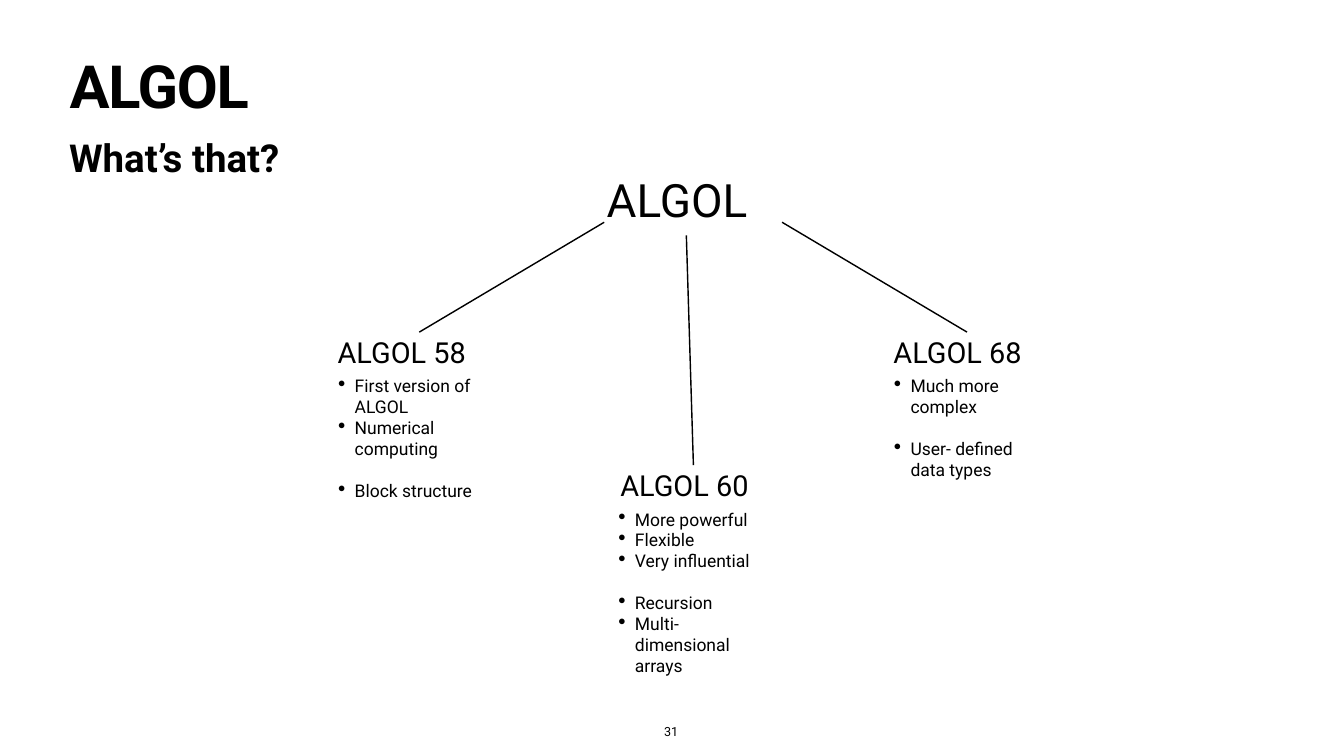
"""Build the ALGOL family tree slide."""
from dataclasses import dataclass

from lxml import etree
from pptx import Presentation
from pptx import util as u
from pptx.dml.color import RGBColor
from pptx.enum import shapes, text
from pptx.oxml.ns import qn


@dataclass(frozen=True)
class Theme:
    """Colours, font, type sizes and spacing of the slide."""
    ink: RGBColor = RGBColor(0, 0, 0)
    paper: RGBColor = RGBColor(255, 255, 255)
    font: str = "Roboto"
    title: float = 85
    subtitle: float = 55
    root: float = 65.6
    version: float = 41.3
    feature: float = 25
    number: float = 18
    line: float = 2
    indent: float = 0.33
    group_gap: float = 30


@dataclass(frozen=True)
class Version:
    """One language version with its features in groups."""
    name: str
    left: float
    top: float
    width: float
    features_left: float
    line_start: tuple
    line_end: tuple
    groups: tuple


VERSIONS = (
    Version("ALGOL 58", 6.65, 6.59, 3.05, 6.65, (8.32, 6.59), (11.99, 4.41),
            (("First version of ALGOL", "Numerical computing"), ("Block structure",))),
    Version("ALGOL 60", 12.26, 9.23, 2.99, 12.21, (13.76, 9.23), (13.62, 4.67),
            (("More powerful", "Flexible", "Very influential"),
             ("Recursion", "Multi-dimensional arrays"))),
    Version("ALGOL 68", 17.68, 6.59, 3.03, 17.68, (19.19, 6.59), (15.52, 4.41),
            (("Much more complex",), ("User- defined data types",))),
)


def write(paragraph, words, *, theme, size, bold=False, spacing=None,
          line_spacing=None, align=text.PP_ALIGN.LEFT):
    """Add words to a paragraph in the given format."""
    paragraph.alignment = align
    if line_spacing:
        paragraph.line_spacing = line_spacing
    run = paragraph.add_run()
    run.text = words
    run.font.name = theme.font
    run.font.size = u.Pt(size)
    run.font.bold = bold
    run.font.color.rgb = theme.ink
    if spacing is not None:
        run.font._element.set("spc", str(round(spacing * 100)))


class SlideBuilder:
    """Draw the elements of one slide in one style."""

    def __init__(self, slide, theme):
        """Keep the slide and theme, and paint the background."""
        self.slide = slide
        self.theme = theme
        slide.background.fill.solid()
        slide.background.fill.fore_color.rgb = theme.paper

    def frame(self, shape, inset, wrap=True, grow=False, anchor=text.MSO_ANCHOR.TOP):
        """Set up the text frame of a shape."""
        frame = shape.text_frame
        frame.word_wrap = wrap
        frame.auto_size = (text.MSO_AUTO_SIZE.SHAPE_TO_FIT_TEXT if grow
                           else text.MSO_AUTO_SIZE.NONE)
        frame.vertical_anchor = anchor
        frame.margin_left = frame.margin_right = u.Inches(inset)
        frame.margin_top = frame.margin_bottom = u.Inches(inset)
        return frame

    def title(self, words, left, top, width, height):
        """Place and fill the title."""
        heading = self.slide.shapes.title
        heading.left, heading.top = u.Inches(left), u.Inches(top)
        heading.width, heading.height = u.Inches(width), u.Inches(height)
        write(self.frame(heading, 0.06).paragraphs[0], words, theme=self.theme,
              size=self.theme.title, bold=True, spacing=-1.7, line_spacing=0.8)

    def box(self, left, top, width, height, inset=0.05, **layout):
        """Add an empty text box and return its frame."""
        area = self.slide.shapes.add_textbox(*map(u.Inches, (left, top, width, height)))
        return self.frame(area, inset, **layout)

    def label(self, words, left, top, width, height, size, **style):
        """Add a label of one line."""
        write(self.box(left, top, width, height).paragraphs[0], words,
              theme=self.theme, size=size, **style)

    def features(self, groups, left, top, width, height):
        """Add a bulleted list with a gap between groups."""
        frame = self.box(left, top, width, height, inset=0.06, grow=True)
        paragraph = None
        for group in groups:
            for place, feature in enumerate(group):
                starts_list = paragraph is None
                paragraph = frame.paragraphs[0] if starts_list else frame.add_paragraph()
                self.bullet(paragraph)
                if place == 0 and not starts_list:
                    paragraph.space_before = u.Pt(self.theme.group_gap)
                write(paragraph, feature, theme=self.theme, size=self.theme.feature)

    def bullet(self, paragraph):
        """Give a paragraph a bullet and a hanging indent."""
        properties = paragraph._p.get_or_add_pPr()
        indent = u.Inches(self.theme.indent)
        properties.set("marL", str(indent))
        properties.set("indent", str(-indent))
        etree.SubElement(properties, qn("a:buSzPct")).set("val", "123000")
        etree.SubElement(properties, qn("a:buChar")).set("char", "•")

    def branch(self, start, end):
        """Draw a straight line between two points."""
        line = self.slide.shapes.add_connector(
            shapes.MSO_CONNECTOR.STRAIGHT, *map(u.Inches, (*start, *end)))
        line.line.color.rgb = self.theme.ink
        line.line.width = u.Pt(self.theme.line)
        etree.SubElement(line._element.spPr, qn("a:effectLst"))

    def number(self, words, left, top, width, height):
        """Add the slide number on one line."""
        frame = self.box(left, top, width, height, inset=0.06, wrap=False,
                         anchor=text.MSO_ANCHOR.BOTTOM)
        write(frame.paragraphs[0], words, theme=self.theme, size=self.theme.number,
              align=text.PP_ALIGN.CENTER)


def main():
    """Build and save the slide."""
    deck = Presentation()
    deck.slide_width, deck.slide_height = u.Inches(26.67), u.Inches(15)
    theme = Theme()
    tree = SlideBuilder(deck.slides.add_slide(deck.slide_layouts[5]), theme)
    tree.title("ALGOL", 1.32, 1.18, 24.03, 1.57)
    tree.label("What’s that?", 1.32, 2.6, 24.03, 1.02, theme.subtitle, bold=True)
    tree.label("ALGOL", 11.99, 3.48, 3.27, 1.19, theme.root, line_spacing=0.9)
    for version in VERSIONS:
        tree.branch(version.line_start, version.line_end)
        tree.label(version.name, version.left, version.top, version.width, 1.02,
                   theme.version)
    for version, height in zip(VERSIONS, (3.02, 4.27, 2.6)):
        tree.features(version.groups, version.features_left, version.top + 0.8,
                      2.83, height)
    tree.number("31", 13.07, 14.31, 0.5, 0.41)
    deck.save("out.pptx")


if __name__ == "__main__":
    main()
